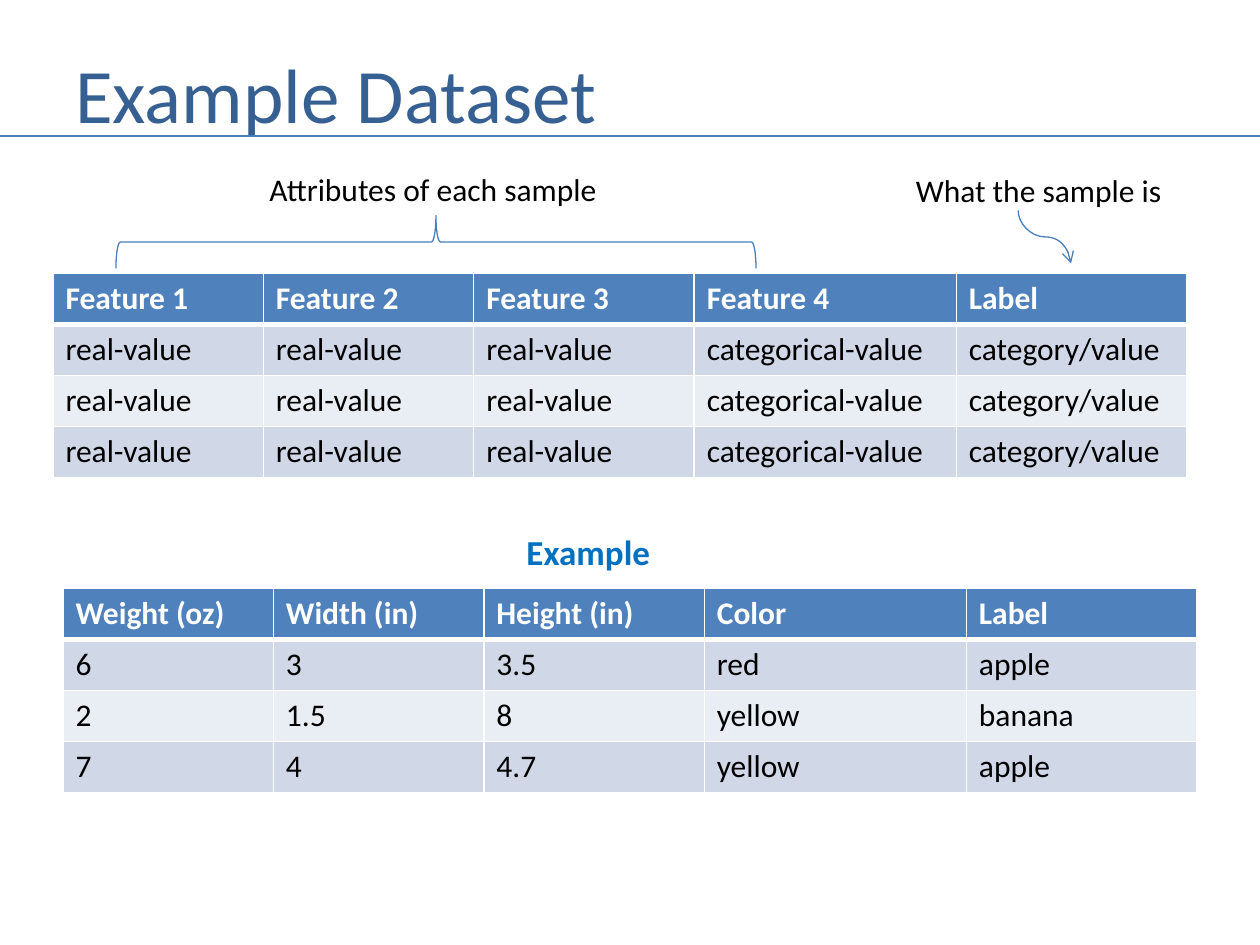
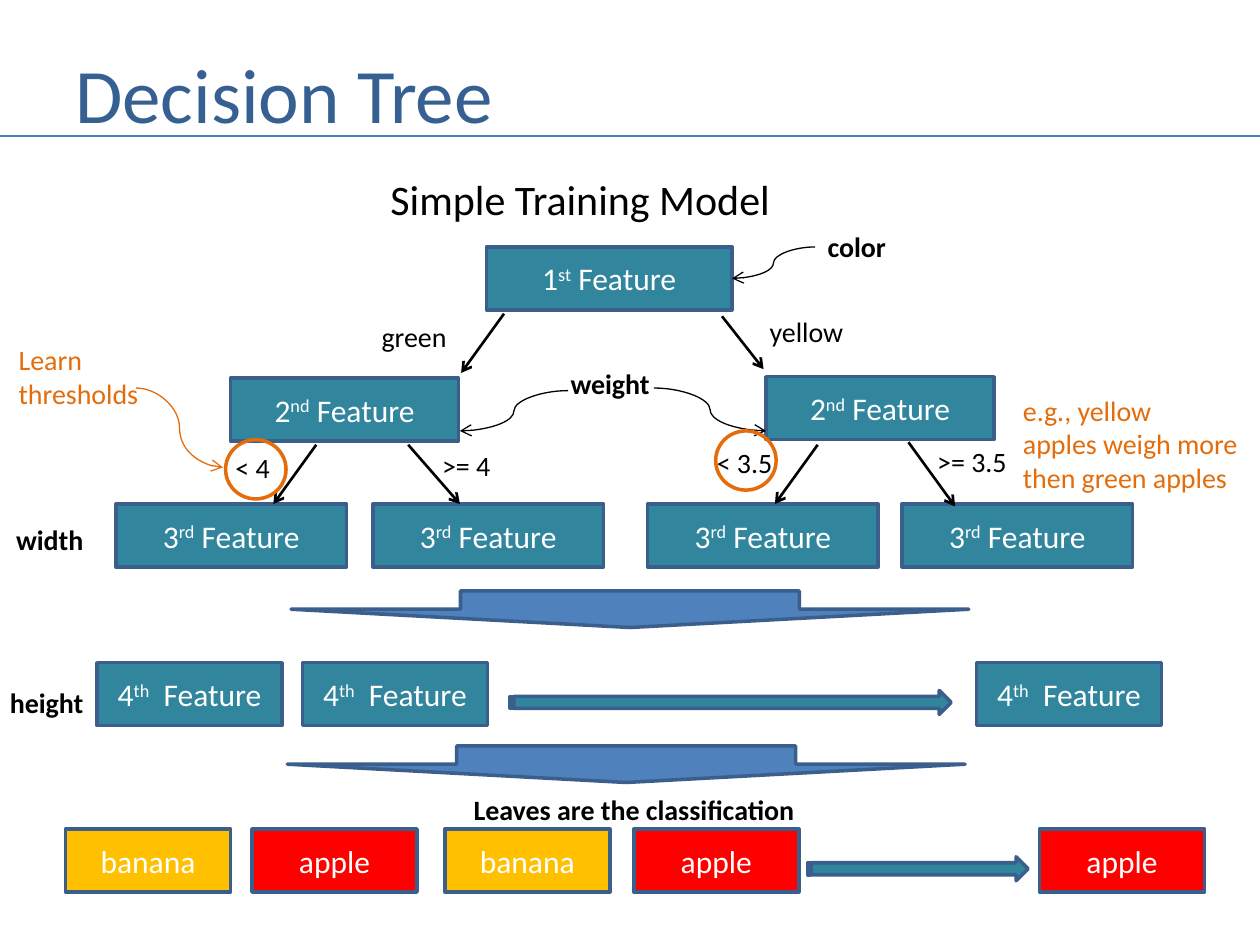
"""Build two slides on a sample dataset and the decision tree learned from it."""
from lxml.etree import SubElement
from pptx import Presentation
from pptx.dml.color import RGBColor
from pptx.enum.shapes import MSO_CONNECTOR as Link, MSO_SHAPE as Preset
from pptx.enum.text import MSO_ANCHOR as Anchor, MSO_AUTO_SIZE as Fit, PP_ALIGN as Align
from pptx.oxml.ns import qn
from pptx.util import Inches, Pt

FONT = "Calibri"
WHITE = RGBColor(0xFF, 0xFF, 0xFF)
BLACK = RGBColor(0, 0, 0)
TITLE_BLUE = RGBColor(0x37, 0x60, 0x92)
RULE_BLUE = RGBColor(0x4B, 0x7E, 0xBC)
ACCENT_BLUE = RGBColor(0x4F, 0x81, 0xBD)
EDGE_BLUE = RGBColor(0x3A, 0x5F, 0x8C)
CAPTION_BLUE = RGBColor(0x00, 0x70, 0xC0)
DARK_BAND = RGBColor(0xD0, 0xD8, 0xE8)
LIGHT_BAND = RGBColor(0xE9, 0xED, 0xF4)
TEAL = RGBColor(0x31, 0x85, 0x9C)
ORANGE = RGBColor(0xE4, 0x6C, 0x0A)
YELLOW = RGBColor(0xFF, 0xC0, 0x00)
RED = RGBColor(0xFF, 0x00, 0x00)

COLUMN_WIDTHS = (1.67, 1.67, 1.75, 2.08, 1.83)
ROW_HEIGHT = 0.405
SCHEMA_ROWS = [("Feature 1", "Feature 2", "Feature 3", "Feature 4", "Label")] + [
    ("real-value",) * 3 + ("categorical-value", "category/value")] * 3
FRUIT_ROWS = [
    ("Weight (oz)", "Width (in)", "Height (in)", "Color", "Label"),
    ("6", "3", "3.5", "red", "apple"),
    ("2", "1.5", "8", "yellow", "banana"),
    ("7", "4", "4.7", "yellow", "apple"),
]
TABLES = [(0.42, 2.17, SCHEMA_ROWS), (0.5, 4.67, FRUIT_ROWS)]
DATASET_NOTES = [
    ("Attributes of each sample", (2.04, 1.3, 2.83, 0.4), 18, BLACK, False),
    ("What the sample is", (7.17, 1.31, 2.17, 0.4), 18, BLACK, False),
    ("Example", (4.08, 4.16, 1.19, 0.44), 20, CAPTION_BLUE, True),
]

NODE_HEIGHT = 0.5
TREE_NODES = [
    ("1", "st", " Feature", 1.95, [(3.86, 1.96)]),
    ("2", "nd", " Feature", 1.81, [(1.83, 3), (6.08, 2.99)]),
    ("3", "rd", " Feature", 1.83, [(left, 4) for left in (0.92, 2.96, 5.14, 7.16)]),
    ("4", "th", "  Feature", 1.47, [(left, 5.26) for left in (0.77, 2.4, 7.75)]),
]
LEAF_TOP, LEAF_WIDTH = 6.58, 1.31
LEAF_FILLS = {"banana": YELLOW, "apple": RED}
LEAVES = [("banana", 0.52), ("apple", 2), ("banana", 3.53), ("apple", 5.03), ("apple", 8.25)]
BRANCHES = [
    (4, 2.49, 3.66, 2.96), (5.73, 2.51, 6.06, 2.93),
    (2.51, 3.53, 2.17, 4), (3.24, 3.53, 3.65, 4),
    (6.49, 3.53, 6.15, 4), (7.21, 3.51, 7.58, 4.02),
]
POINTERS = [
    ((6.47, 1.96, 5.81, 2.21), BLACK),
    ((4.51, 3.1, 3.65, 3.42), BLACK),
    ((5.19, 3.08, 6.08, 3.42), BLACK),
    ((1.08, 3.08, 1.77, 3.71), ORANGE),
]
LEVEL_ARROWS = [
    (Preset.DOWN_ARROW, (2.31, 4.69, 5.38, 0.29), ACCENT_BLUE),
    (Preset.DOWN_ARROW, (2.28, 5.92, 5.38, 0.29), ACCENT_BLUE),
    (Preset.STRIPED_RIGHT_ARROW, (4.05, 5.48, 3.5, 0.19), TEAL),
    (Preset.STRIPED_RIGHT_ARROW, (6.41, 6.8, 1.75, 0.19), TEAL),
]
THRESHOLD_RINGS = [(1.79, 3.49, 0.48, 0.47), (5.68, 3.42, 0.48, 0.47)]
TREE_NOTES = [("Simple Training Model", (3, 1.33, 3.32, 0.5), 24, BLACK, False)] + [
    (words, box, 16, color, bold) for words, box, color, bold in [
        ("green", (2.93, 2.49, 0.72, 0.37), BLACK, False),
        ("yellow", (6.01, 2.45, 0.79, 0.37), BLACK, False),
        ("< 4", (1.77, 3.53, 0.48, 0.37), BLACK, False),
        (">= 4", (3.41, 3.51, 0.59, 0.37), BLACK, False),
        ("< 3.5", (5.59, 3.49, 0.65, 0.37), BLACK, False),
        (">= 3.5", (7.34, 3.48, 0.76, 0.37), BLACK, False),
        ("color", (6.47, 1.77, 0.67, 0.37), BLACK, True),
        ("weight", (4.43, 2.86, 0.84, 0.37), BLACK, True),
        ("width", (0.03, 4.1, 0.74, 0.37), BLACK, True),
        ("height", (-0.02, 5.39, 0.79, 0.37), BLACK, True),
        ("Leaves are the classification", (3.66, 6.24, 2.78, 0.37), BLACK, True),
        ("Learn \vthresholds", (0.05, 2.67, 1.16, 0.64), ORANGE, False),
        ("e.g., yellow\napples weigh more\nthen green apples", (8.02, 3.07, 1.95, 0.91), ORANGE, False),
    ]]


def inches(values):
    return [Inches(value) for value in values]


def style(frame, size, color, bold=False):
    for paragraph in frame.paragraphs:
        for run in paragraph.runs:
            run.font.name, run.font.size, run.font.bold = FONT, Pt(size), bold
            run.font.color.rgb = color


def add_note(slide, words, box, size, color, bold):
    note = slide.shapes.add_textbox(*inches(box))
    frame = note.text_frame
    frame.text = words
    frame.word_wrap = False
    frame.auto_size = Fit.SHAPE_TO_FIT_TEXT
    style(frame, size, color, bold)


def add_link(slide, ends, color, width, kind=Link.STRAIGHT, arrow=True):
    link = slide.shapes.add_connector(kind, *inches(ends))
    link.line.color.rgb, link.line.width = color, Pt(width)
    if arrow:
        SubElement(link.line._get_or_add_ln(), qn("a:tailEnd"), type="arrow")
    SubElement(link._element.spPr, qn("a:effectLst"))
    return link


def add_figure(slide, preset, box, fill=None, edge=EDGE_BLUE, width=2):
    figure = slide.shapes.add_shape(preset, *inches(box))
    figure.shadow.inherit = False
    if fill is None:
        figure.fill.background()
    else:
        figure.fill.solid()
        figure.fill.fore_color.rgb = fill
    figure.line.color.rgb, figure.line.width = edge, Pt(width)
    return figure


def add_node(slide, parts, box, fill):
    frame = add_figure(slide, Preset.RECTANGLE, box, fill).text_frame
    frame.vertical_anchor = Anchor.MIDDLE
    label = frame.paragraphs[0]
    label.alignment = Align.CENTER
    for part in parts:
        label.add_run().text = part
    style(frame, 18, WHITE)
    return label


def add_border(cell, side, width):
    border = SubElement(cell._tc.get_or_add_tcPr(), qn(f"a:ln{side}"), w=str(Pt(width)))
    SubElement(SubElement(border, qn("a:solidFill")), qn("a:srgbClr"), val=str(WHITE))


def add_grid(slide, left, top, rows):
    box = inches((left, top, sum(COLUMN_WIDTHS), ROW_HEIGHT * len(rows)))
    grid = slide.shapes.add_table(len(rows), len(COLUMN_WIDTHS), *box).table
    for column, width in zip(grid.columns, COLUMN_WIDTHS):
        column.width = Inches(width)
    for r, row in enumerate(rows):
        grid.rows[r].height = Inches(ROW_HEIGHT)
        header = r == 0
        for c, words in enumerate(row):
            cell = grid.cell(r, c)
            for side in "LRTB":
                add_border(cell, side, 3 if (r, side) in ((0, "B"), (1, "T")) else 1)
            cell.fill.solid()
            cell.fill.fore_color.rgb = ACCENT_BLUE if header else (LIGHT_BAND, DARK_BAND)[r % 2]
            cell.text_frame.text = words
            style(cell.text_frame, 18, WHITE if header else BLACK, header)


def add_titled_slide(deck, title):
    slide = deck.slides.add_slide(deck.slide_layouts[6])
    frame = slide.shapes.add_textbox(*inches((0.5, 0.3, 6.33, 0.87))).text_frame
    frame.word_wrap = True
    frame.vertical_anchor = Anchor.MIDDLE
    frame.text = title
    style(frame, 44, TITLE_BLUE)
    add_link(slide, (0, 1.08, 10, 1.08), RULE_BLUE, 1.5, arrow=False)
    return slide


def build_dataset(deck):
    slide = add_titled_slide(deck, "Example Dataset")
    for left, top, rows in TABLES:
        add_grid(slide, left, top, rows)
    for note in DATASET_NOTES:
        add_note(slide, *note)
    brace = add_figure(slide, Preset.RIGHT_BRACE, (3.25, -0.62, 0.42, 5.08), None, RULE_BLUE, 0.75)
    brace.rotation = 270
    label_pointer = add_link(slide, (8.08, 1.67, 8.5, 2.09), RULE_BLUE, 0.75, Link.CURVE)
    turn = label_pointer._element.spPr.find(qn("a:xfrm"))
    turn.set("rot", str(270 * 60000))
    turn.set("flipH", "1")


def build_tree(deck):
    slide = add_titled_slide(deck, "Decision Tree")
    for number, suffix, noun, width, corners in TREE_NODES:
        for left, top in corners:
            label = add_node(slide, (number, suffix, noun), (left, top, width, NODE_HEIGHT), TEAL)
            label.runs[1].font._element.set("baseline", "30000")
    for fruit, left in LEAVES:
        add_node(slide, (fruit,), (left, LEAF_TOP, LEAF_WIDTH, NODE_HEIGHT), LEAF_FILLS[fruit])
    for ends in BRANCHES:
        add_link(slide, ends, BLACK, 1.5)
    for ends, color in POINTERS:
        add_link(slide, ends, color, 0.75, Link.CURVE)
    for preset, box, fill in LEVEL_ARROWS:
        add_figure(slide, preset, box, fill)
    for note in TREE_NOTES:
        add_note(slide, *note)
    for box in THRESHOLD_RINGS:
        add_figure(slide, Preset.OVAL, box, None, ORANGE)


deck = Presentation()
deck.slide_width, deck.slide_height = Inches(10), Inches(7.5)
build_dataset(deck)
build_tree(deck)
deck.save("out.pptx")
